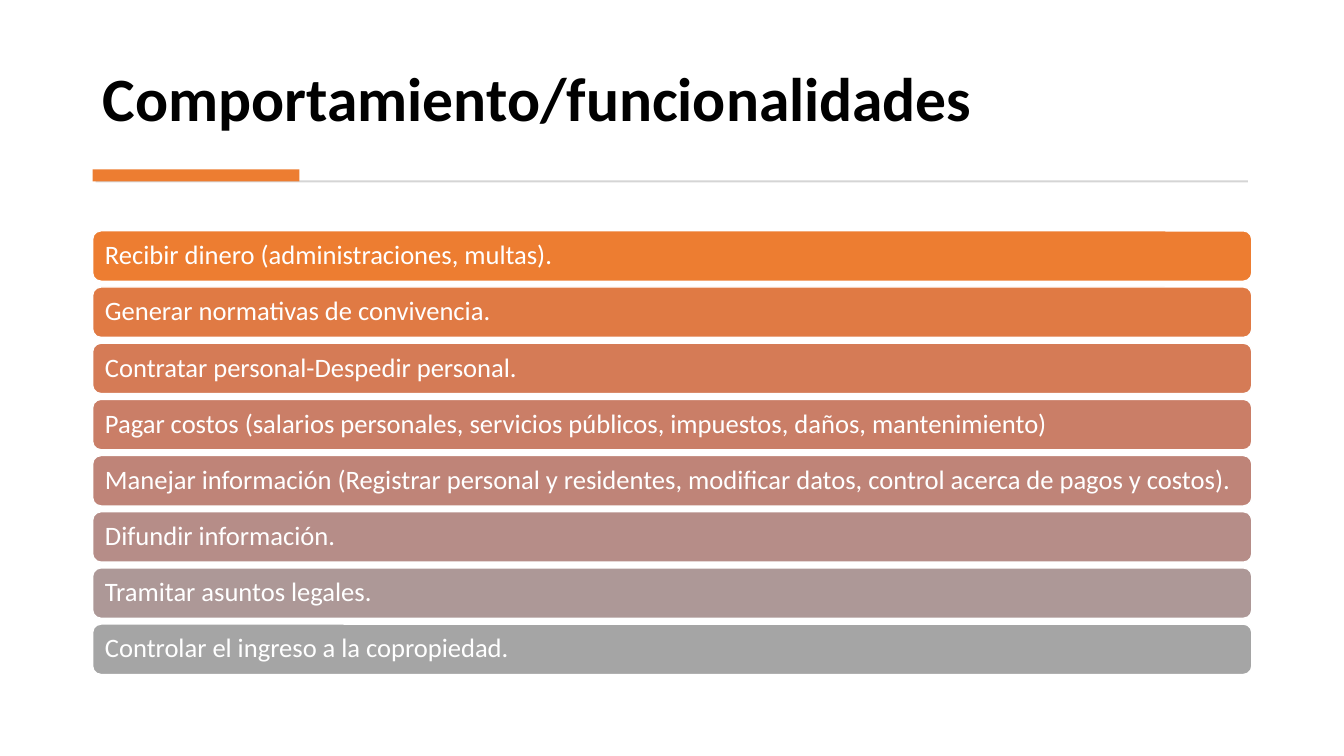
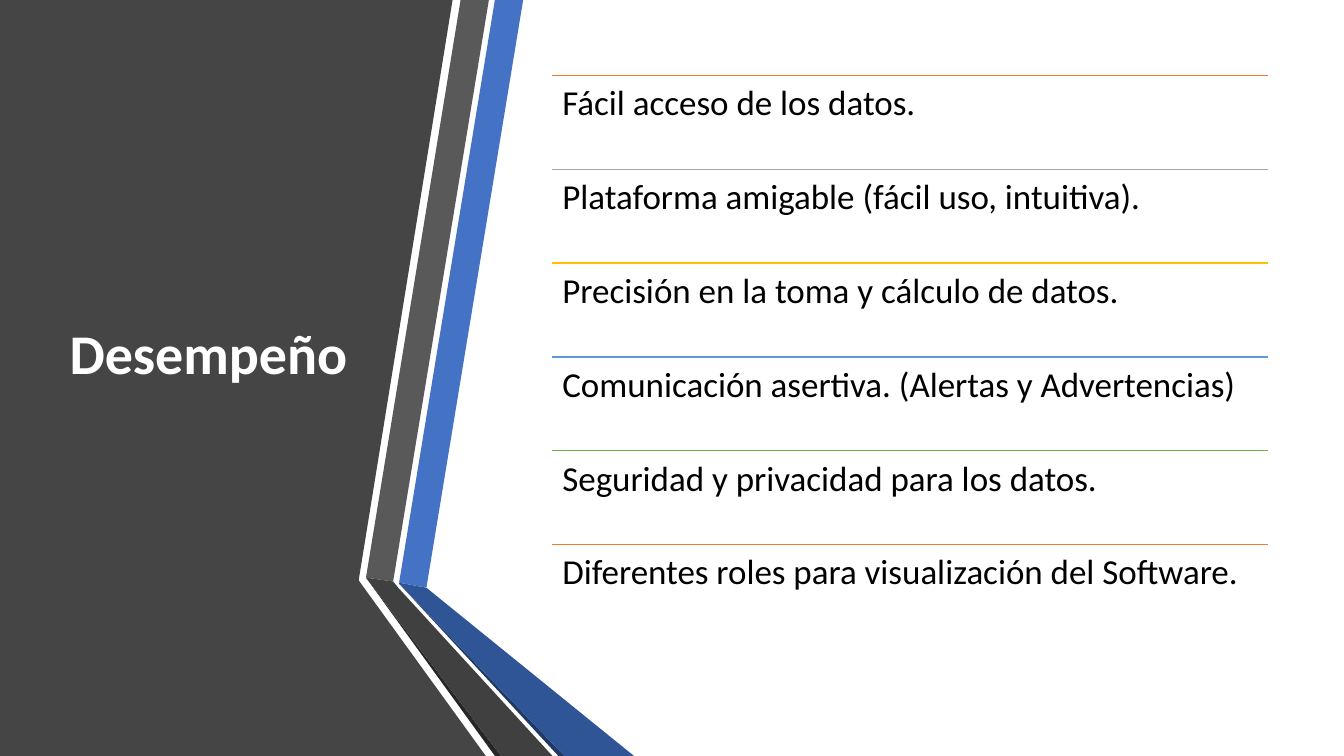
import pptx
import pptx.dml.color
import pptx.enum.shapes
import pptx.enum.text
import pptx.oxml.ns
import pptx.util
from lxml import etree

Pt = pptx.util.Pt
RGB = pptx.dml.color.RGBColor.from_string
SHAPE = pptx.enum.shapes.MSO_SHAPE
ANCHOR = pptx.enum.text.MSO_ANCHOR

COLORS = {
    "black": "000000", "white": "FFFFFF", "rule": "D5D5D5",
    "orange": "ED7D31", "gray": "A5A5A5", "gold": "FFC000",
    "sky": "5B9BD5", "green": "70AD47",
    "panel": "454545", "blue": "4472C4", "slate": "595959",
    "ink": "262626", "navy": "203864", "deep": "2F5597", "charcoal": "404040",
}
FONT = "Calibri"


def set_text(sp, text, size, color, anchor, bold=False):
    tf = sp.text_frame
    tf.text = text
    tf.word_wrap = True
    tf.auto_size = pptx.enum.text.MSO_AUTO_SIZE.NONE
    tf.vertical_anchor = anchor
    tf.margin_left = tf.margin_right = Pt(7.2)
    p = tf.paragraphs[0]
    p.alignment = pptx.enum.text.PP_ALIGN.LEFT
    p.line_spacing = 0.9
    r = p.runs[0]
    r.font.name = FONT
    r.font.size = Pt(size)
    r.font.bold = bold
    r.font.color.rgb = RGB(COLORS[color])


def paint(sp, fill, line=None):
    sp.shadow.inherit = False
    sp.fill.solid()
    sp.fill.fore_color.rgb = RGB(fill)
    if line:
        sp.line.color.rgb = RGB(line)
        sp.line.width = Pt(1)
    else:
        sp.line.fill.background()


prs = pptx.Presentation()
prs.slide_width, prs.slide_height = Pt(960), Pt(540)
layout = prs.slide_layouts.get_by_name("Title Only")

# Slide 1: title with accent rule
s = prs.slides.add_slide(layout)
title = s.shapes.title
title.left, title.top, title.width, title.height = Pt(66.2), Pt(20.2), Pt(827.3), Pt(79.9)
set_text(title, "Comportamiento/funcionalidades", 44, "black", ANCHOR.BOTTOM, True)
for left, top, width, height, color in [
    (68.4, 128.9, 823, 1.4, "rule"),
    (66.2, 121, 147.6, 8.6, "orange"),
]:
    sp = s.shapes.add_shape(SHAPE.RECTANGLE, Pt(left), Pt(top), Pt(width), Pt(height))
    paint(sp, COLORS[color])

# Stacked bars fading from orange to gray
bars = [
    ("Recibir dinero (administraciones, multas).", COLORS["orange"]),
    ("Generar normativas de convivencia.", "E07A44"),
    ("Contratar personal-Despedir personal.", "D57B56"),
    ("Pagar costos (salarios personales, servicios públicos, impuestos, daños, mantenimiento)", "CA7E67"),
    ("Manejar información (Registrar personal y residentes, modificar datos, "
     "control acerca de pagos y costos).", "BF8478"),
    ("Difundir información.", "B68D88"),
    ("Tramitar asuntos legales.", "AD9897"),
    ("Controlar el ingreso a la copropiedad.", COLORS["gray"]),
]
for i, (text, fill) in enumerate(bars):
    sp = s.shapes.add_shape(SHAPE.ROUNDED_RECTANGLE, Pt(66.2), Pt(164.9 + 40.13 * i), Pt(828), Pt(36))
    paint(sp, fill, COLORS["white"])
    set_text(sp, text, 19, "white", ANCHOR.MIDDLE)

# Slide 2: dark panel and folded ribbons
s = prs.slides.add_slide(layout)
ribbons = [
    ("panel", [(0, 0), (323.3, 0), (256.3, 414), (256.3, 414.7), (347, 540), (0, 540)]),
    ("blue", [(285.1, 416.2), (304.6, 419.8), (373.7, 0), (353.5, 0)]),
    ("slate", [(349.2, 0), (329, 0), (261.4, 412.6), (280.8, 415.4)]),
    ("ink", [(261.4, 412.6), (353.5, 540), (357.8, 540)]),
    ("navy", [(285.1, 416.9), (398.9, 540), (403.2, 540)]),
    ("deep", [(285.1, 416.2), (285.1, 416.9), (403.2, 540), (452.9, 540), (304.6, 419.8)]),
    ("charcoal", [(394.6, 540), (284.4, 419.8), (280.8, 415.4), (261.4, 412.6), (357.8, 540)]),
]
for color, points in ribbons:
    points = [(Pt(x), Pt(y)) for x, y in points]
    outline = s.shapes.build_freeform(*points[0])
    outline.add_line_segments(points[1:], close=True)
    paint(outline.convert_to_shape(), COLORS[color])

# Title, brought in front of the panel
title = s.shapes.title
title.left, title.top, title.width, title.height = Pt(42.5), Pt(54), Pt(218.9), Pt(401.8)
set_text(title, "Desempeño", 40, "white", ANCHOR.MIDDLE, True)
title.element.getparent().append(title.element)

# Ruled list
rows = [
    ("Fácil acceso de los datos.", "orange"),
    ("Plataforma amigable (fácil uso, intuitiva).", "gray"),
    ("Precisión en la toma y cálculo de datos.", "gold"),
    ("Comunicación asertiva. (Alertas y Advertencias)", "sky"),
    ("Seguridad y privacidad para los datos.", "green"),
    ("Diferentes roles para visualización del Software.", "orange"),
]
left, width, pitch = 394.6, 511.2, 67
for i, (text, color) in enumerate(rows):
    top = Pt(54 + pitch * i)
    line = s.shapes.add_connector(
        pptx.enum.shapes.MSO_CONNECTOR.STRAIGHT, Pt(left), top, Pt(left + width), top)
    line.line.color.rgb = RGB(COLORS[color])
    line.line.width = Pt(1)
    etree.SubElement(line.element.spPr, pptx.oxml.ns.qn("a:effectLst"))
    sp = s.shapes.add_textbox(Pt(left), top, Pt(width), Pt(pitch))
    set_text(sp, text, 25, "black", ANCHOR.TOP)
    sp.text_frame.margin_top = sp.text_frame.margin_bottom = Pt(7.2)

prs.save("out.pptx")
